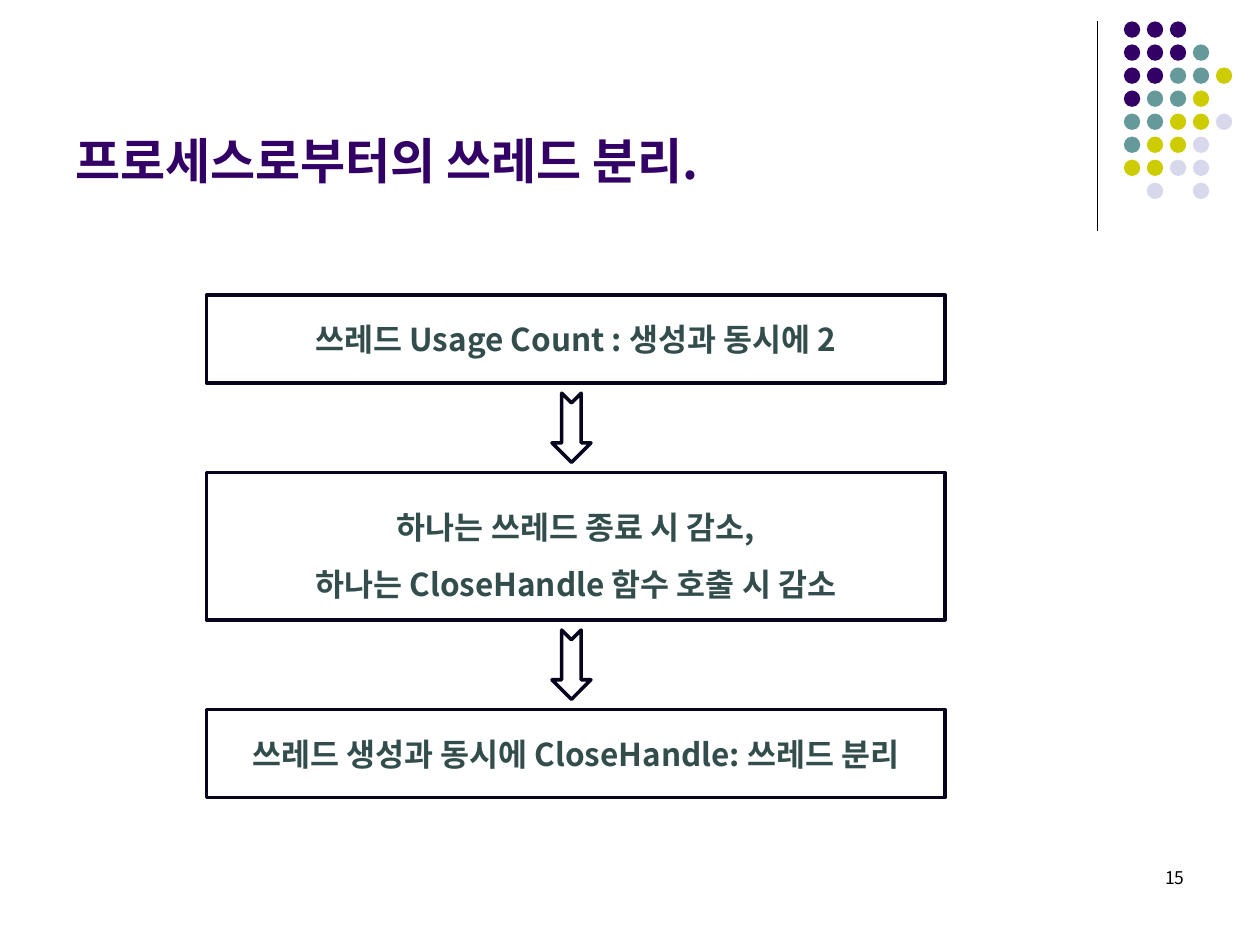
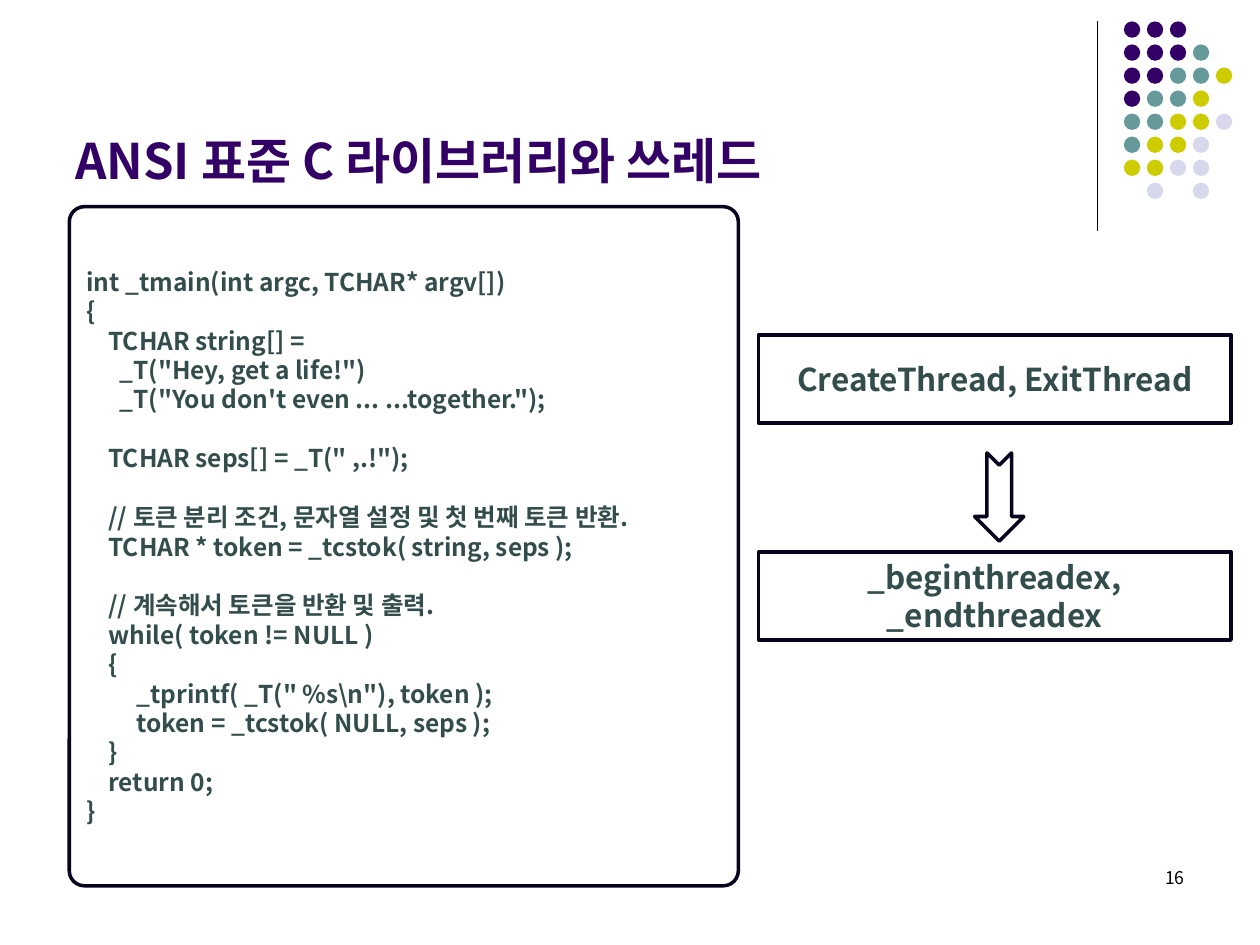
from lxml import etree
from pptx import Presentation
from pptx import util as u
from pptx.dml.color import RGBColor
from pptx.enum import shapes, text
from pptx.oxml.ns import qn

FONT = "Noto Sans CJK KR"
HUES = {"P": "330066", "T": "669999", "Y": "CCCC00", "L": "D8D8EC",
        "edge": "06051D", "body": "334D4D", "black": "000000"}
DOTS = ["PPP", "PPPT", "PPTTY", "PTTY", "TTYYL", "TYYL", "YYLL", " L L"]
KIND = shapes.MSO_SHAPE
LEFT, MID, RIGHT = text.PP_ALIGN.LEFT, text.PP_ALIGN.CENTER, text.PP_ALIGN.RIGHT
TOP, CORE, BASE = text.MSO_ANCHOR.TOP, text.MSO_ANCHOR.MIDDLE, text.MSO_ANCHOR.BOTTOM

CODE = r"""int _tmain(int argc, TCHAR* argv[])
{
    TCHAR string[] =
      _T("Hey, get a life!")
      _T("You don't even ... ...together.");

    TCHAR seps[] = _T(" ,.!");

    // 토큰 분리 조건, 문자열 설정 및 첫 번째 토큰 반환.
    TCHAR * token = _tcstok( string, seps );

    // 계속해서 토큰을 반환 및 출력.
    while( token != NULL )
    {
         _tprintf( _T(" %s\n"), token );
         token = _tcstok( NULL, seps );
    }
    return 0;
}"""

# Each box: kind, place, text, size, alignment, line spacing
PAGES = [
    {"title": "프로세스로부터의 쓰레드 분리.", "num": "15",
     "boxes": [
         (KIND.RECTANGLE, (1.64, 2.34, 5.86, 0.7),
          "쓰레드 Usage Count : 생성과 동시에 2", 18, MID, 1),
         (KIND.RECTANGLE, (1.64, 3.75, 5.86, 1.17),
          "하나는 쓰레드 종료 시 감소,\n하나는 CloseHandle 함수 호출 시 감소", 18, MID, 1.5),
         (KIND.RECTANGLE, (1.64, 5.63, 5.86, 0.7),
          "쓰레드 생성과 동시에 CloseHandle: 쓰레드 분리", 18, MID, 1)],
     "arrows": [(4.26, 3.24, 0.55, 0.31), (4.26, 5.12, 0.55, 0.31)]},
    {"title": "ANSI 표준 C 라이브러리와 쓰레드", "num": "16",
     "boxes": [
         (KIND.RECTANGLE, (6.02, 2.66, 3.75, 0.7),
          "CreateThread, ExitThread", 18, MID, 1),
         (KIND.RECTANGLE, (6.02, 4.38, 3.75, 0.7),
          "_beginthreadex, _endthreadex", 18, MID, 1),
         (KIND.ROUNDED_RECTANGLE, (0.55, 1.64, 5.31, 5.39), CODE, 14, LEFT, 1)],
     "arrows": [(7.58, 3.75, 0.7, 0.39)]},
]


def write(shape, words, size, hue, bold, align, anchor, lead=1):
    """Fill a shape with one paragraph a line; an empty line becomes space before."""
    frame = shape.text_frame
    frame.word_wrap = True
    frame.vertical_anchor = anchor
    para, gap = None, 0
    for line in words.split("\n"):
        if not line:
            gap += size * 1.2
            continue
        para = frame.add_paragraph() if para else frame.paragraphs[0]
        form = {"alignment": align, "line_spacing": lead, "space_before": u.Pt(gap)}
        for key, val in form.items():
            setattr(para, key, val)
        gap = 0
        run = para.add_run()
        run.text = line
        for key, val in {"name": FONT, "size": u.Pt(size), "bold": bold}.items():
            setattr(run.font, key, val)
        run.font.color.rgb = RGBColor.from_string(HUES[hue])
        east = etree.SubElement(run.font._element, qn("a:ea"))
        east.set("typeface", FONT)


def draw(host, kind, place, fill=None):
    """Add a preset shape, either filled without a line or outlined without a fill."""
    shape = host.add_shape(kind, *map(u.Inches, place))
    shape.shadow.inherit = False
    if fill:
        shape.fill.solid()
        shape.fill.fore_color.rgb = RGBColor.from_string(HUES[fill])
        shape.line.fill.background()
    else:
        shape.fill.background()
        shape.line.color.rgb = RGBColor.from_string(HUES["edge"])
        shape.line.width = u.Pt(2)
    return shape


deck = Presentation()
deck.slide_width, deck.slide_height = u.Inches(10), u.Inches(7.5)

for page in PAGES:
    slide = deck.slides.add_slide(deck.slide_layouts[6])
    items = slide.shapes

    rule = items.add_connector(shapes.MSO_CONNECTOR.STRAIGHT,
                               *map(u.Inches, (8.71, 0.17, 8.71, 1.83)))
    rule.line.color.rgb = RGBColor.from_string(HUES["black"])
    rule.line.width = u.Pt(0.75)
    etree.SubElement(rule._element.spPr, qn("a:effectLst"))

    group = items.add_group_shape()
    for row, marks in enumerate(DOTS):
        for col, mark in enumerate(marks):
            if mark != " ":
                place = (8.92 + col * 0.73 / 4, 0.17 + row * 1.28 / 7, 0.13, 0.13)
                draw(group.shapes, KIND.OVAL, place, mark)

    title = items.add_textbox(*map(u.Inches, (0.5, 0.13, 8.25, 1.42)))
    write(title, page["title"], 28, "P", True, LEFT, BASE)
    num = items.add_textbox(*map(u.Inches, (7.17, 6.83, 2.33, 0.5)))
    write(num, page["num"], 10, "black", False, RIGHT, TOP)

    for kind, place, words, size, align, lead in page["boxes"]:
        box = draw(items, kind, place)
        if kind == KIND.ROUNDED_RECTANGLE:
            box.adjustments[0] = 0.12 / place[2]
        write(box, words, size, "body", True, align, CORE, lead)

    for place in page["arrows"]:
        draw(items, KIND.NOTCHED_RIGHT_ARROW, place).rotation = 90

deck.save("out.pptx")
